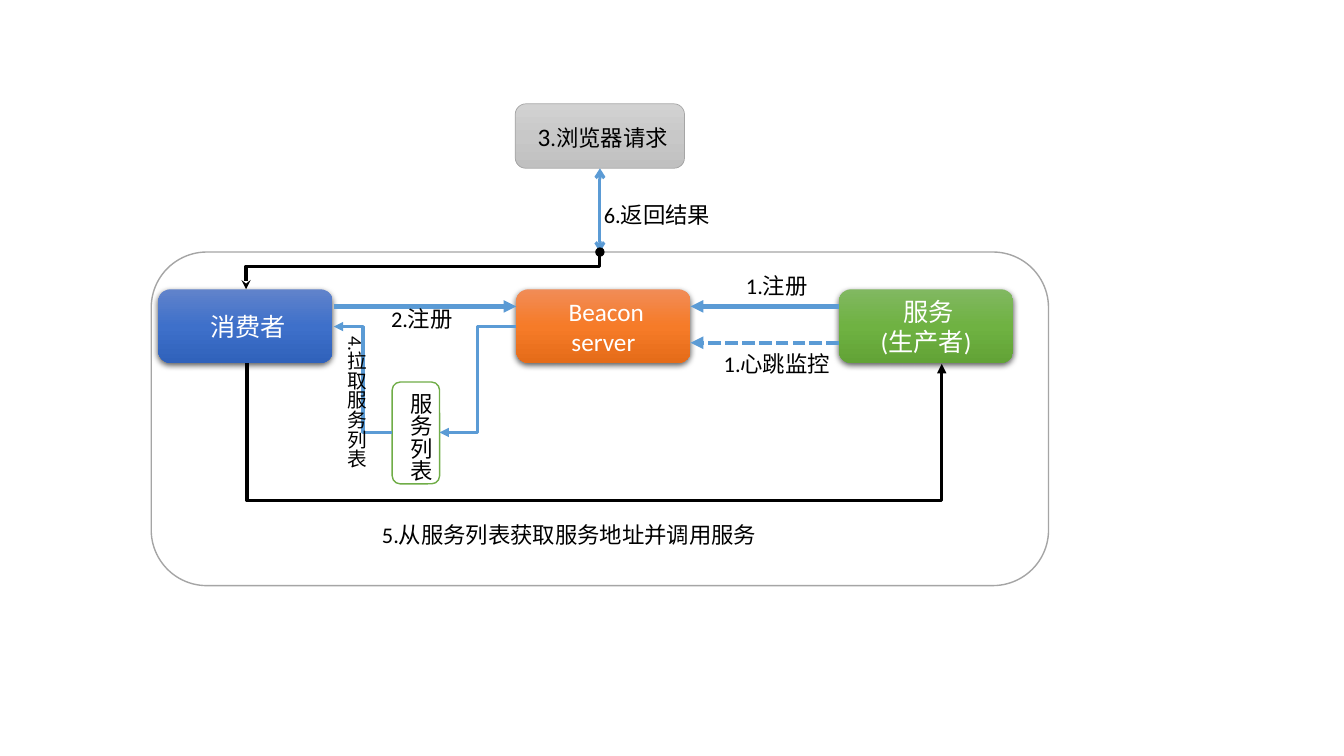
import copy
import pptx
import pptx.util
import pptx.dml.color
import pptx.enum.dml
import pptx.enum.shapes
import pptx.enum.text
import pptx.oxml
import pptx.oxml.ns

HUES = {
    "white": "FFFFFF", "black": "000000", "gray": "A5A5A5",
    "blue": "5B9BD5", "green": "70AD47",
}
FADES = {
    "user": ("6183CB", "3E70CA", "3062BB"),
    "hub": ("F18C57", "F67B28", "E56C19"),
    "maker": ("81B861", "6FB242", "62A336"),
    "web": ("D2D2D2", "C8C8C8", "C0C0C0"),
}
COLS, ROWS = 133.3, 75
CELL = pptx.util.Inches(0.1)
QN = pptx.oxml.ns.qn


def cells(*nums):
    """Turn grid cells into slide lengths."""
    return [round(num * CELL) for num in nums]


def hue(name):
    """Look up a colour by name."""
    return pptx.dml.color.RGBColor.from_string(HUES[name])


def node(tag, parent, **attrs):
    """Append a drawing element and return it."""
    item = parent.makeelement(QN(tag), attrs)
    parent.append(item)
    return item


def style(frame, size, tint):
    """Format every run in a text frame."""
    for para in frame.paragraphs:
        for run in para.runs:
            run.font.name = "Calibri"
            run.font.size = pptx.util.Pt(size)
            run.font.color.rgb = hue(tint)


def card(slide, box, at, line=None, width=1):
    """Draw a white rounded box at an offset within a region."""
    left, top, wide, high = at
    kind = pptx.enum.shapes.MSO_SHAPE.ROUNDED_RECTANGLE
    shape = slide.shapes.add_shape(
        kind, *cells(box[0] + left, box[1] + top, wide, high))
    shape.shadow.inherit = False
    shape.fill.solid()
    shape.fill.fore_color.rgb = hue("white")
    if line:
        shape.line.color.rgb = hue(line)
        shape.line.width = pptx.util.Pt(width)
    else:
        shape.line.fill.background()
    return shape


def fade(shape, name):
    """Fill a shape with a three-stop gradient running down."""
    shape.fill.gradient()
    shape.fill.gradient_angle = 270
    stops = next(shape.element.iter(QN("a:gsLst")))
    stops.append(copy.deepcopy(stops[-1]))
    for step, (stop, code) in enumerate(
            zip(shape.fill.gradient_stops, FADES[name])):
        stop.position = step / 2
        stop.color.rgb = pptx.dml.color.RGBColor.from_string(code)


def title(shape, text, tint):
    """Centre a caption in a shape."""
    frame = shape.text_frame
    frame.text = text
    frame.vertical_anchor = pptx.enum.text.MSO_ANCHOR.MIDDLE
    for para in frame.paragraphs:
        para.alignment = pptx.enum.text.PP_ALIGN.CENTER
    style(frame, 18, tint)


def cast(shape):
    """Give a shape a soft shadow below."""
    effects = next(shape.element.iter(QN("a:effectLst")))
    drop = node("a:outerShdw", effects, blurRad="57150", dist="19050",
                dir="5400000", algn="ctr", rotWithShape="0")
    node("a:alpha", node("a:srgbClr", drop, val=HUES["black"]), val="63000")


def label(slide, box, at, text, size=16, upright=False):
    """Place a text box at an offset within a region."""
    left, top, wide, high = at
    shape = slide.shapes.add_textbox(
        *cells(box[0] + left, box[1] + top, wide, high))
    frame = shape.text_frame
    frame.word_wrap = not upright
    frame.auto_size = pptx.enum.text.MSO_AUTO_SIZE.SHAPE_TO_FIT_TEXT
    frame.text = text
    style(frame, size, "black")
    if upright:
        next(shape.element.iter(QN("a:bodyPr"))).set("vert", "eaVert")


def link(slide, box, start, end, tint="blue", width=2.25, head=None,
         tail="triangle", bend=False, turn=False, knee=None, dash=False):
    """Join two points; turn makes an elbow leave vertically."""
    kinds = pptx.enum.shapes.MSO_CONNECTOR
    (ax, ay), (bx, by) = start, end
    if turn:
        midx, midy = (ax + bx) / 2, (ay + by) / 2
        ax, ay = midx - (ay - midy), midy + (ax - midx)
        bx, by = 2 * midx - ax, 2 * midy - ay
    line = slide.shapes.add_connector(
        kinds.ELBOW if bend else kinds.STRAIGHT,
        *cells(box[0] + ax, box[1] + ay, box[0] + bx, box[1] + by))
    line.line.color.rgb = hue(tint)
    line.line.width = pptx.util.Pt(width)
    if dash:
        line.line.dash_style = pptx.enum.dml.MSO_LINE.SQUARE_DOT
    props = line.element.spPr
    if turn:
        props.find(QN("a:xfrm")).set("rot", "16200000")
    if knee is not None:
        guides = next(props.iter(QN("a:avLst")))
        node("a:gd", guides, name="adj1", fmla=f"val {round(knee * 100000)}")
    stroke = props.find(QN("a:ln"))
    for tag, mark in (("a:headEnd", head), ("a:tailEnd", tail)):
        if mark:
            node(tag, stroke, type=mark)
    node("a:effectLst", props)


def system(slide, box):
    """Draw the service area with its nodes and flows."""
    card(slide, box, (0, 0, *box[2:]), "gray")
    for left, name, text in ((36.2, "hub", " Beacon server"),
                             (68.2, "maker", " 服务\n(生产者)"),
                             (0.7, "user", " 消费者")):
        shape = card(slide, box, (left, 3.7, 17.3, 7.3))
        fade(shape, name)
        cast(shape)
        title(shape, text, "white")
    link(slide, box, (68.2, 5.4), (53.5, 5.4), width=3)
    link(slide, box, (68.2, 9), (53.5, 9), width=3, dash=True)
    link(slide, box, (18.1, 5.4), (36.2, 5.4), width=3)
    card(slide, box, (23.9, 12.9, 4.7, 10.1), "green")
    link(slide, box, (36.2, 7.4), (28.6, 17.9), bend=True)
    link(slide, box, (23.9, 17.9), (18.1, 7.4), bend=True)
    link(slide, box, (9.5, 11), (78.4, 11.1), "black",
         bend=True, turn=True, knee=139)
    for at, text in (((58, 1.5, 8.2, 3.7), "1.注册"),
                     ((55.8, 9.2, 12.7, 3.7), "1.心跳监控"),
                     ((22.8, 4.8, 8.2, 3.7), "2.注册"),
                     ((21.9, 26.2, 39.6, 3.7), "5.从服务列表获取服务地址并调用服务")):
        label(slide, box, at, text)
    label(slide, box, (23.9, 13, 4.7, 10), "服务列表", upright=True)
    label(slide, box, (17.6, 7.4, 4.4, 14.3), "4.拉取服务列表", 14, True)


def client(slide, box):
    """Draw the browser node."""
    shape = card(slide, box, (0, 0, *box[2:]), "gray", 0.5)
    fade(shape, "web")
    title(shape, " 3", "black")
    run = shape.text_frame.paragraphs[0].add_run()
    run.text = ".浏览器请求"
    style(shape.text_frame, 18, "black")
    run.font.size = pptx.util.Pt(16)


def entry(slide, box):
    """Draw the path from the browser to the consumer."""
    wide, high = box[2:]
    link(slide, box, (wide, 0), (wide, 8.3), head="arrow", tail="arrow")
    link(slide, box, (0, high), (wide, 8.3), "black", head="stealth",
         tail="oval", bend=True, turn=True, knee=0.62)
    label(slide, box, (34.5, 2.8, 12.7, 3.7), "6.返回结果")


def main():
    """Build the slide and save it."""
    deck = pptx.Presentation()
    deck.slide_width, deck.slide_height = cells(COLS, ROWS)
    slide = deck.slides.add_slide(deck.slide_layouts[6])
    system(slide, (15, 25, 89, 33.1))
    client(slide, (51.1, 10.3, 16.8, 6.4))
    entry(slide, (24.4, 16.7, 35.1, 12))
    deck.save("out.pptx")


main()
